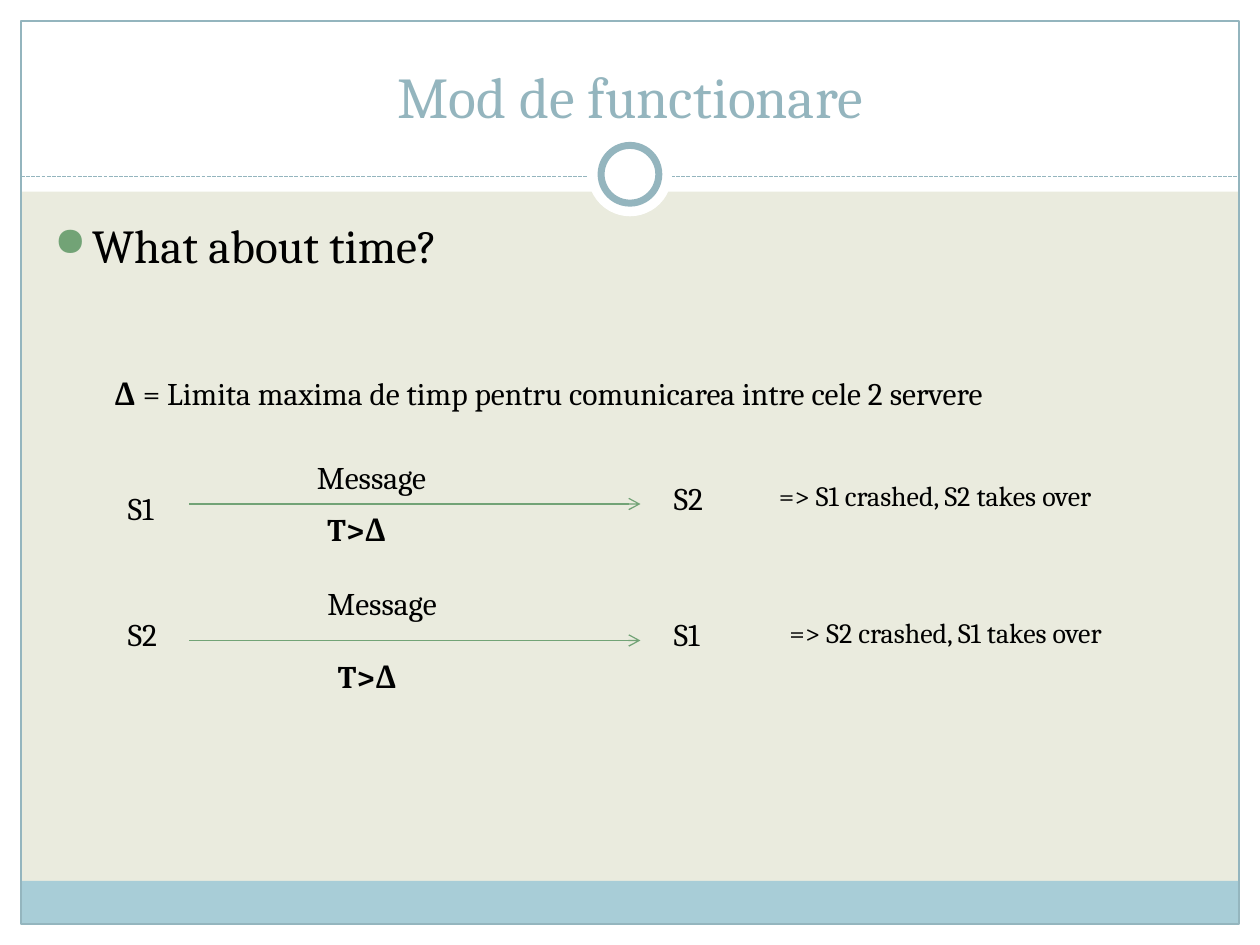
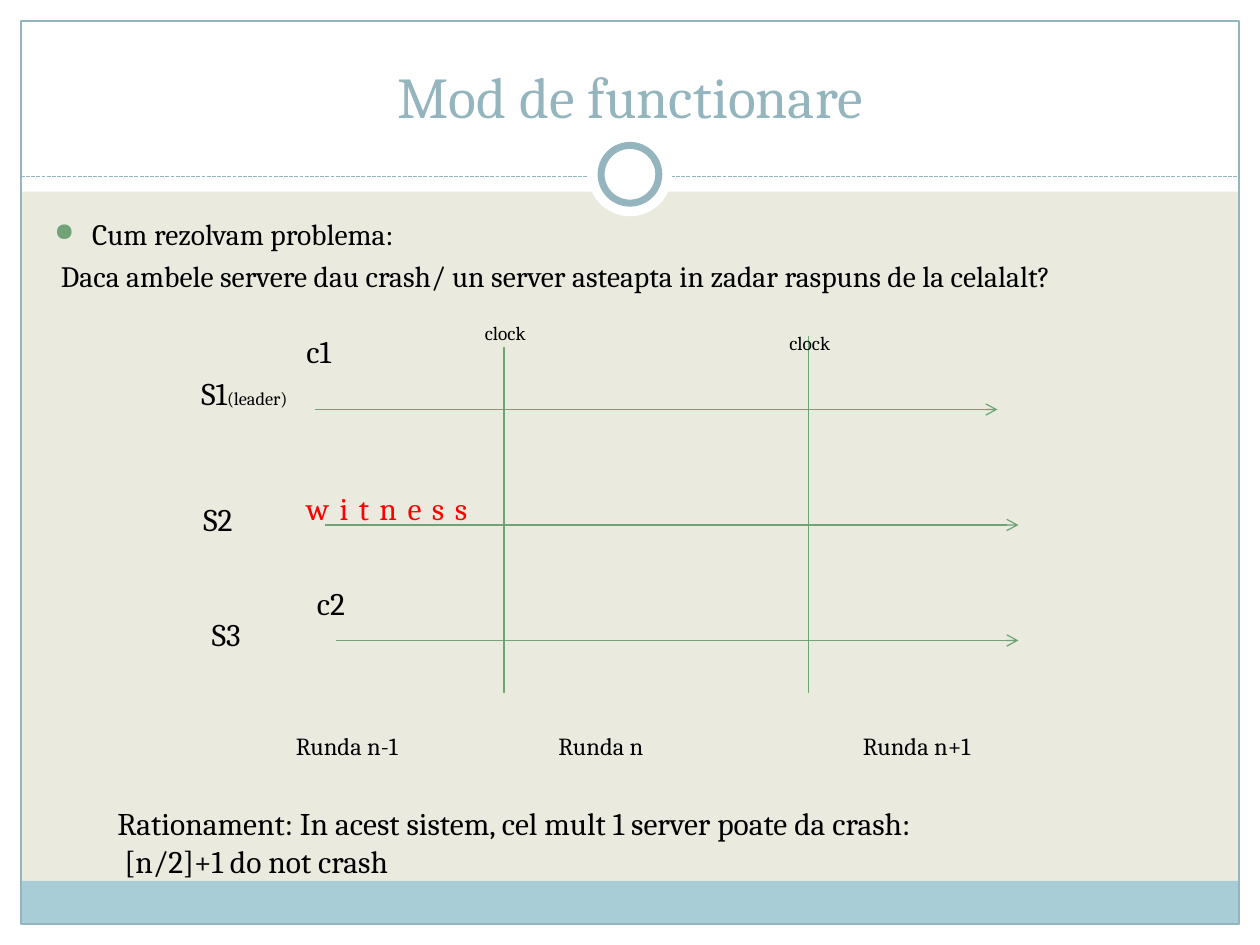
from pptx import Presentation
from pptx.dml.color import RGBColor
from pptx.enum.dml import MSO_LINE
from pptx.enum.shapes import MSO_CONNECTOR as Connector, MSO_SHAPE as Preset
from pptx.enum.text import MSO_ANCHOR as Anchor, MSO_AUTO_SIZE as AutoSize, PP_ALIGN as Align
from pptx.oxml.ns import qn
from pptx.util import Inches, Pt
from lxml.etree import SubElement

COLORS = {
    "paper": "EAEBDE",
    "white": "FFFFFF",
    "band": "A8CDD7",
    "accent": "94B5BE",
    "green": "72A376",
    "text": "000000",
    "red": "FF0000",
}
FONT = "Cambria"
COLUMNS, ROWS = 120, 90
MARGIN = 2


class Deck:
    def __init__(self):
        self.presentation = Presentation()
        self.presentation.slide_width = Inches(10)
        self.presentation.slide_height = Inches(7.5)
        self.slide = None

    def x(self, column):
        return round(self.presentation.slide_width * column / COLUMNS)

    def y(self, row):
        return round(self.presentation.slide_height * row / ROWS)

    def color(self, name):
        return RGBColor.from_string(COLORS[name])

    def place(self, column, row, width, height):
        return self.x(column), self.y(row), self.x(width), self.y(height)

    def shape(self, preset, box, fill=None, line=None, weight=0.75):
        shape = self.slide.shapes.add_shape(preset, *self.place(*box))
        shape.shadow.inherit = False
        if fill:
            shape.fill.solid()
            shape.fill.fore_color.rgb = self.color(fill)
        else:
            shape.fill.background()
        if line:
            shape.line.color.rgb = self.color(line)
            shape.line.width = Pt(weight)
        else:
            shape.line.fill.background()

    def disc(self, column, row, diameter, **style):
        corner = column - diameter / 2, row - diameter / 2
        self.shape(Preset.OVAL, (*corner, diameter, diameter), **style)

    def line(self, start, end, color="green", dash=None, arrow=False):
        connector = self.slide.shapes.add_connector(
            Connector.STRAIGHT, self.x(start[0]), self.y(start[1]), self.x(end[0]), self.y(end[1]))
        connector.line.color.rgb = self.color(color)
        connector.line.width = Pt(0.75)
        if dash:
            connector.line.dash_style = dash
        properties = connector.element.spPr
        if arrow:
            SubElement(properties.find(qn("a:ln")), qn("a:tailEnd"), type="arrow")
        SubElement(properties, qn("a:effectLst"))

    def frame(self, box, anchor=Anchor.TOP, grow=False):
        frame = self.slide.shapes.add_textbox(*self.place(*box)).text_frame
        frame.word_wrap = True
        frame.vertical_anchor = anchor
        frame.auto_size = AutoSize.SHAPE_TO_FIT_TEXT if grow else AutoSize.NONE
        return frame

    def run(self, paragraph, text, size=18, color="text", bold=False, spacing=0):
        run = paragraph.add_run()
        run.text = text
        run.font.name = FONT
        run.font.size = Pt(size)
        run.font.bold = bold
        run.font.color.rgb = self.color(color)
        if spacing:
            run.font._element.set("spc", str(spacing * 100))

    def label(self, column, row, width, text, height=4.8, **style):
        paragraph = self.frame((column, row, width, height), grow=True).paragraphs[0]
        self.run(paragraph, text, **style)
        return paragraph

    def bullet(self, paragraph, text, size, marked=True):
        paragraph.space_before = Pt(size * 0.2)
        properties = paragraph._p.get_or_add_pPr()
        properties.set("marL", str(Inches(0.3)))
        properties.set("indent", str(-Inches(0.3)))
        if marked:
            bullet_color = SubElement(properties, qn("a:buClr"))
            SubElement(bullet_color, qn("a:srgbClr"), val=COLORS["green"])
            SubElement(properties, qn("a:buSzPct"), val="85000")
            SubElement(properties, qn("a:buChar"), char="●")
        else:
            SubElement(properties, qn("a:buNone"))
        self.run(paragraph, text, size)

    def new_slide(self, title):
        self.slide = self.presentation.slides.add_slide(self.presentation.slide_layouts[6])
        background = self.slide.background.fill
        background.solid()
        background.fore_color.rgb = self.color("paper")
        right, bottom = COLUMNS - MARGIN, ROWS - MARGIN
        inner = right - MARGIN
        for edge in ((0, bottom, COLUMNS, MARGIN), (0, 0, COLUMNS, 18.25),
                     (0, 0, MARGIN, ROWS), (right, 0, MARGIN, ROWS)):
            self.shape(Preset.RECTANGLE, edge, fill="white")
        self.shape(Preset.RECTANGLE, (MARGIN, 83.9, inner, 4.1), fill="band")
        self.shape(Preset.RECTANGLE, (MARGIN, MARGIN, inner, bottom - MARGIN), line="accent")
        self.line((MARGIN, 16.8), (right, 16.8), "accent", MSO_LINE.SQUARE_DOT)
        self.disc(COLUMNS / 2, 16.6, 8, fill="white")
        self.disc(COLUMNS / 2, 16.6, 5.5, fill="white", line="accent", weight=4)
        paragraph = self.frame((4, 3, 112, 10), Anchor.BOTTOM).paragraphs[0]
        paragraph.alignment = Align.CENTER
        self.run(paragraph, title, 33, "accent")


def build_timeout_slide(deck):
    deck.new_slide("Mod de functionare")
    deck.bullet(deck.frame((4, 20, 112, 60)).paragraphs[0], "What about time?", 27)
    definition = deck.label(9, 35, 101, " ")
    deck.run(definition, "Δ", bold=True)
    deck.run(definition, " = Limita maxima de timp pentru comunicarea intre cele 2 servere")
    exchanges = (
        ("S1", "S2", 48, (11, 46), (63, 45), (29, 43), (30, 48), (73, 45)),
        ("S2", "S1", 61, (11, 58), (63, 58), (30, 55), (31, 62), (74, 58)),
    )
    for sender, receiver, row, sender_at, receiver_at, message_at, delay_at, outcome_at in exchanges:
        deck.label(*sender_at, 7, sender)
        deck.line((18, row), (61, row), arrow=True)
        deck.label(*receiver_at, 8, receiver)
        deck.label(*message_at, 17, "Message")
        deck.label(*delay_at, 13, "T>Δ", bold=True)
        deck.label(*outcome_at, 40, f"=> {sender} crashed, {receiver} takes over", size=16)


def build_witness_slide(deck):
    deck.new_slide("Mod de functionare")
    body = deck.frame((4, 20, 112, 9))
    deck.bullet(body.paragraphs[0], "Cum rezolvam problema:", 16.9)
    deck.bullet(body.add_paragraph(),
                " Daca ambele servere dau crash/ un server asteapta in zadar raspuns de la celalalt?",
                16.9, marked=False)
    servers = (
        ("S1", 18, 35, 30, 95, 39),
        ("S2", 18.2, 47, 31, 97, 50),
        ("S3", 19, 58, 32, 97, 61),
    )
    for server, column, row, start, end, timeline in servers:
        name = deck.label(column, row, 12, server)
        if server == "S1":
            deck.run(name, "(leader)", 10.5)
        deck.line((start, timeline), (end, timeline), arrow=True)
    deck.label(28, 31, 6, "c1")
    deck.label(29, 55, 6, "c2")
    for column, top, clock_row in ((48, 33, 30), (77, 32, 31)):
        deck.line((column, top), (column, 66))
        deck.label(column - 3, clock_row, 7, "clock", height=3.5, size=11)
    deck.label(28, 46, 28, "witness", color="red", spacing=6)
    for column, round_name in ((27, "n-1"), (52, "n"), (81, "n+1")):
        deck.label(column, 69, 19, f"Runda {round_name}", height=4, size=14)
    conclusion = deck.frame((10, 76, 101, 8.5), grow=True)
    deck.run(conclusion.paragraphs[0], "Rationament: In acest sistem, cel mult 1 server poate da crash:")
    deck.run(conclusion.add_paragraph(), " [n/2]+1 do not crash")


def main():
    deck = Deck()
    build_timeout_slide(deck)
    build_witness_slide(deck)
    deck.presentation.save("out.pptx")


if __name__ == "__main__":
    main()
